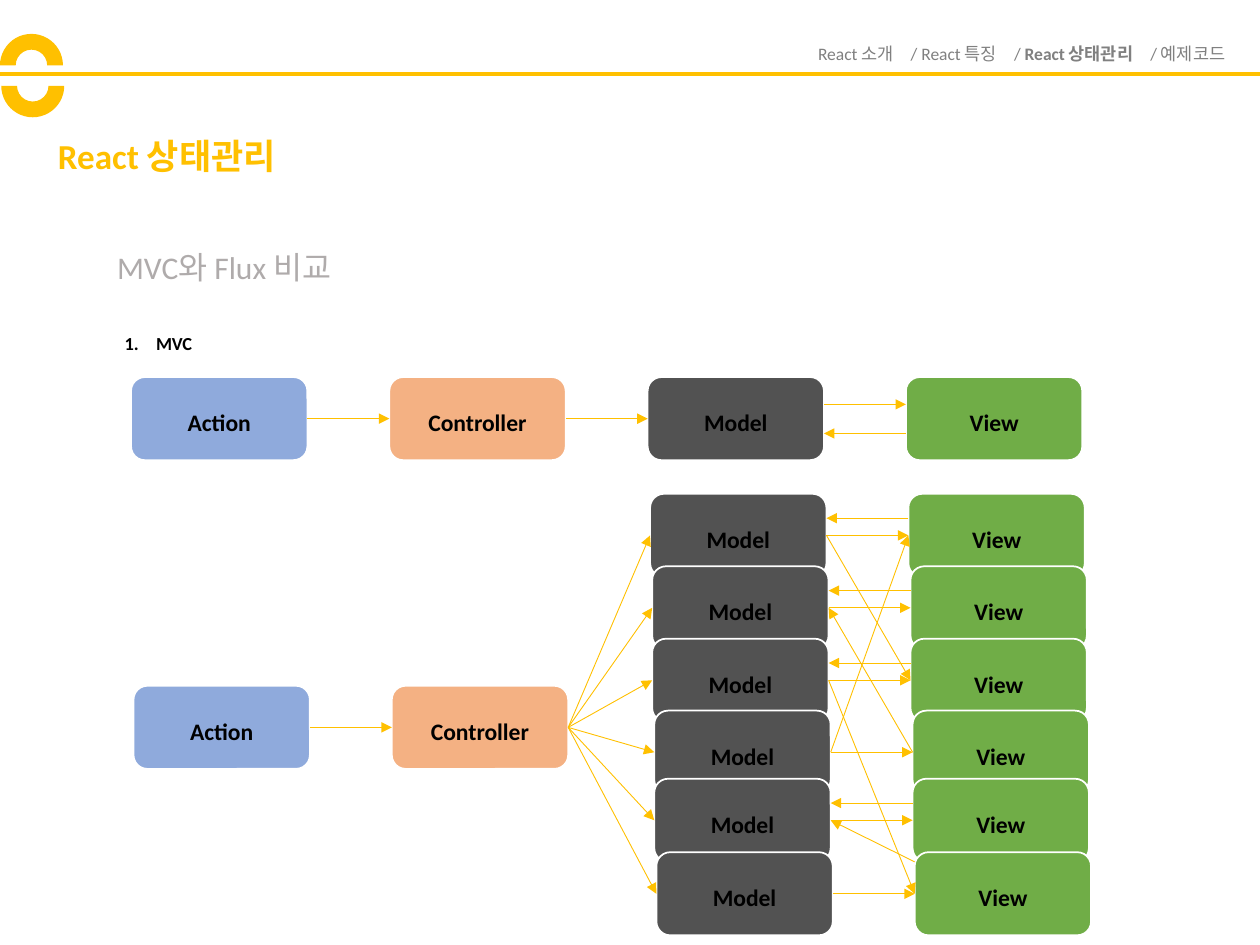
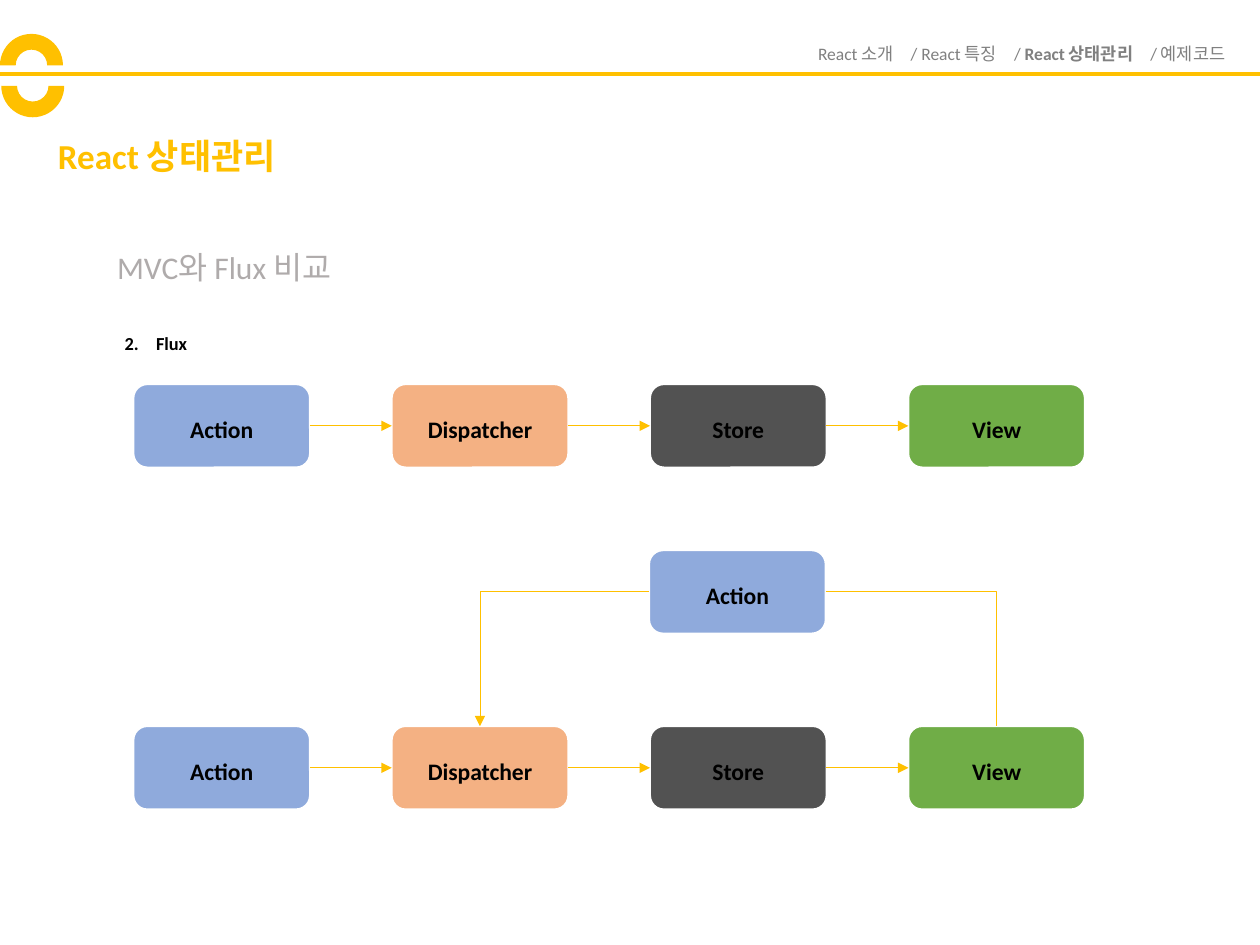
from lxml import etree
from pptx import Presentation
from pptx.dml.color import RGBColor
from pptx.enum.shapes import MSO_CONNECTOR, MSO_SHAPE
from pptx.enum.text import MSO_ANCHOR, MSO_AUTO_SIZE, PP_ALIGN
from pptx.oxml.ns import qn
from pptx.util import Pt

ARC, ROUND = MSO_SHAPE.BLOCK_ARC, MSO_SHAPE.ROUNDED_RECTANGLE
LINE, ELBOW = MSO_CONNECTOR.STRAIGHT, MSO_CONNECTOR.ELBOW
LEFT, MID, RIGHT = PP_ALIGN.LEFT, PP_ALIGN.CENTER, PP_ALIGN.RIGHT
GROW, FIXED = MSO_AUTO_SIZE.SHAPE_TO_FIT_TEXT, MSO_AUTO_SIZE.NONE

FONT = "Calibri"
HUES = {
    "gold": "FFC000", "gray": "808080", "pale": "AFABAB",
    "black": "000000", "white": "FFFFFF", "blue": "8FAADC",
    "peach": "F4B183", "dark": "525252", "green": "70AD47",
}
KINDS = {
    "Action": "blue", "Controller": "peach", "Dispatcher": "peach",
    "Model": "dark", "Store": "dark", "View": "green",
}

TITLE = "React 상태관리"
TOPIC = "MVC와 Flux 비교"
GAP = " "
NAV = [
    ("React 소개", False), (GAP, False), ("/ React 특징", False),
    (GAP, False), ("/ ", False), ("React 상태관리", True),
    (GAP, False), ("/ 예제코드", False),
]
MVC = ["Action", "Controller", "Model", "View"]
FLUX = ["Action", "Dispatcher", "Store", "View"]

WIDE, HIGH = 100.8, 47.5
STEP = 147.6
LEAD = 76.3
TOP, WEST, EAST = 0, 1, 3
STACK = [(0, 282.2), (1.2, 323.6), (1.2, 365), (2.4, 406.1), (2.4, 445), (3.6, 487)]
BACK = [0, 1, 2, 4]
CROSS = [(0, 2), (3, 0), (2, 5)]


def tint(name):
    return RGBColor.from_string(HUES[name])


def add_run(para, text, size, hue, bold=False):
    run = para.add_run()
    run.text = text
    font = run.font
    font.name, font.size, font.bold = FONT, Pt(size), bold
    font.color.rgb = tint(hue)
    return run


def add_text(slide, x, y, w, h, runs, size, hue, align=LEFT):
    box = slide.shapes.add_textbox(Pt(x), Pt(y), Pt(w), Pt(h))
    frame = box.text_frame
    frame.word_wrap, frame.auto_size = True, GROW
    para = frame.paragraphs[0]
    para.alignment = align
    for text, bold in runs:
        run = add_run(para, text, size, hue, bold)
        if text == GAP:
            run.font._element.set("spc", "760")
    return para


def add_form(slide, kind, x, y, w, h, hue):
    form = slide.shapes.add_shape(kind, Pt(x), Pt(y), Pt(w), Pt(h))
    form.shadow.inherit = False
    form.fill.solid()
    form.fill.fore_color.rgb = tint(hue)
    form.line.fill.background()
    return form


def add_box(slide, text, x, y):
    box = add_form(slide, ROUND, x, y, WIDE, HIGH, KINDS[text])
    box.line.color.rgb = tint("white")
    box.line.width = Pt(1)
    add_text(slide, x, y + 14.2, WIDE, 19.4, [(text, True)], 13.5, "black", MID)
    return box


def add_line(slide, start, end, width=0.5, head=True, kind=LINE):
    line = slide.shapes.add_connector(kind, *map(Pt, start + end))
    line.line.color.rgb = tint("gold")
    line.line.width = Pt(width)
    if head:
        etree.SubElement(line.line._get_or_add_ln(), qn("a:tailEnd"), type="triangle")
    etree.SubElement(line._element.spPr, qn("a:effectLst"))
    return line


def spot(box, side):
    x, y, w, h = (v.pt for v in (box.left, box.top, box.width, box.height))
    return {TOP: (x + w / 2, y), WEST: (x, y + h / 2), EAST: (x + w, y + h / 2)}[side]


def join(slide, a, b, out=EAST, into=WEST, kind=LINE, head=True):
    line = add_line(slide, spot(a, out), spot(b, into), head=head, kind=kind)
    if kind == ELBOW:
        line._element.spPr.find(qn("a:prstGeom")).set("prst", "bentConnector2")
    line.begin_connect(a, out)
    line.end_connect(b, into)


def level(slide, a, b, drop):
    ends = [(a.left.pt + WIDE, a.top.pt + drop), (b.left.pt, a.top.pt + drop)]
    if a.left > b.left:
        ends = [(a.left.pt, a.top.pt + drop), (b.left.pt + WIDE, a.top.pt + drop)]
    add_line(slide, *ends)


def add_chain(slide, names, x, y):
    boxes = [add_box(slide, name, x + i * STEP, y) for i, name in enumerate(names)]
    for a, b in zip(boxes, boxes[1:]):
        join(slide, a, b)
    return boxes


def add_page(deck, number, head):
    slide = deck.slides.add_slide(deck.slide_layouts[5])
    add_line(slide, (0, 42.5), (720, 42.5), 2.25, False)
    add_text(slide, 441.4, 20.9, 265.7, 19.4, NAV, 10, "gray", RIGHT)

    title = slide.shapes.title
    title.left, title.top, title.width, title.height = map(Pt, (25.9, 79.9, 277.2, 20.9))
    frame = title.text_frame
    frame.auto_size, frame.vertical_anchor = FIXED, MSO_ANCHOR.MIDDLE
    para = frame.paragraphs[0]
    para.alignment, para.line_spacing = LEFT, 0.9
    add_run(para, TITLE, 20, "gold", True)

    add_text(slide, 59.8, 138.2, 184.3, 28.8, [(TOPIC, False)], 18, "pale")
    for x, y, turn in [(0, 19.4, 0), (0.7, 31, 180)]:
        add_form(slide, ARC, x, y, 36, 36, "gold").rotation = turn

    para = add_text(slide, 64.1, 180, 589, 24.5, [(head, True)], 10.5, "black")
    para.line_spacing = 1.5
    props = para._p.get_or_add_pPr()
    props.set("marL", str(Pt(18)))
    props.set("indent", str(Pt(-18)))
    etree.SubElement(props, qn("a:buFont"), typeface="+mj-lt")
    etree.SubElement(props, qn("a:buAutoNum"), type="arabicPeriod", startAt=str(number))
    return slide


def draw_mvc(deck):
    slide = add_page(deck, 1, "MVC")
    hub = add_chain(slide, MVC[:2], LEAD, 391.9)[1]
    models, views = [], []
    for shift, y in STACK:
        models.append(add_box(slide, "Model", LEAD + 2 * STEP + shift, y))
        views.append(add_box(slide, "View", LEAD + 3 * STEP + shift, y))
    for model, view in zip(models, views):
        join(slide, hub, model)
        join(slide, model, view)
    for m, v in CROSS:
        join(slide, models[m], views[v])
    join(slide, views[3], models[1], WEST, EAST)
    for i in BACK:
        level(slide, views[i], models[i], 13.9)
    rise = add_line(slide, (views[5].left.pt, 492.5), spot(models[4], EAST))
    rise.end_connect(models[4], EAST)

    add_chain(slide, MVC[:3], 74.9, 215.5)
    model = slide.shapes[-4]
    model = next(s for s in slide.shapes if s.top == Pt(215.5) and s.left == Pt(74.9 + 2 * STEP))
    view = add_box(slide, "View", 74.9 + 3 * STEP, 215.5)
    level(slide, model, view, 15.6)
    level(slide, view, model, 32.2)


def draw_flux(deck):
    slide = add_page(deck, 2, "Flux")
    add_chain(slide, FLUX, LEAD, 219.6)
    row = add_chain(slide, FLUX, LEAD, 415)
    action = add_box(slide, "Action", 371, 314.5)
    join(slide, action, row[3], EAST, TOP, ELBOW, False)
    join(slide, action, row[1], WEST, TOP, ELBOW)


def main():
    deck = Presentation()
    deck.slide_width, deck.slide_height = Pt(720), Pt(540)
    draw_mvc(deck)
    draw_flux(deck)
    deck.save("out.pptx")


if __name__ == "__main__":
    main()
